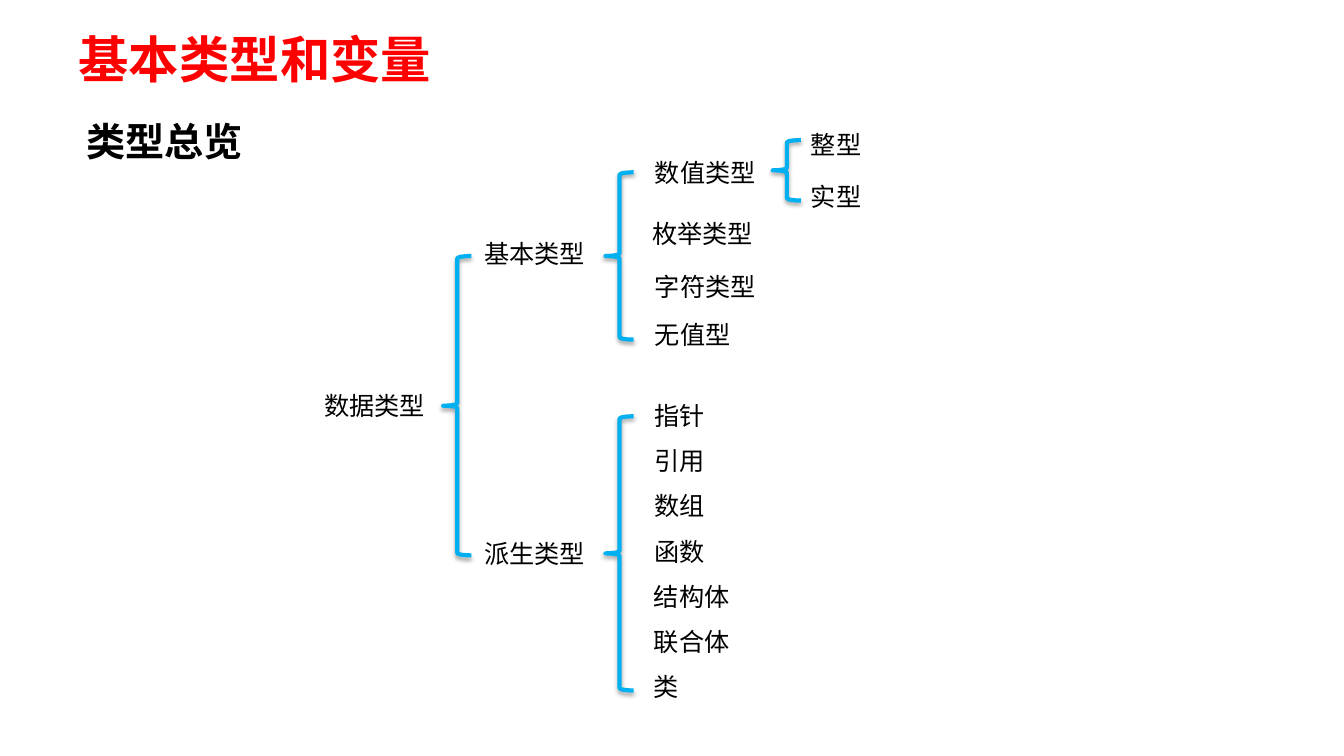
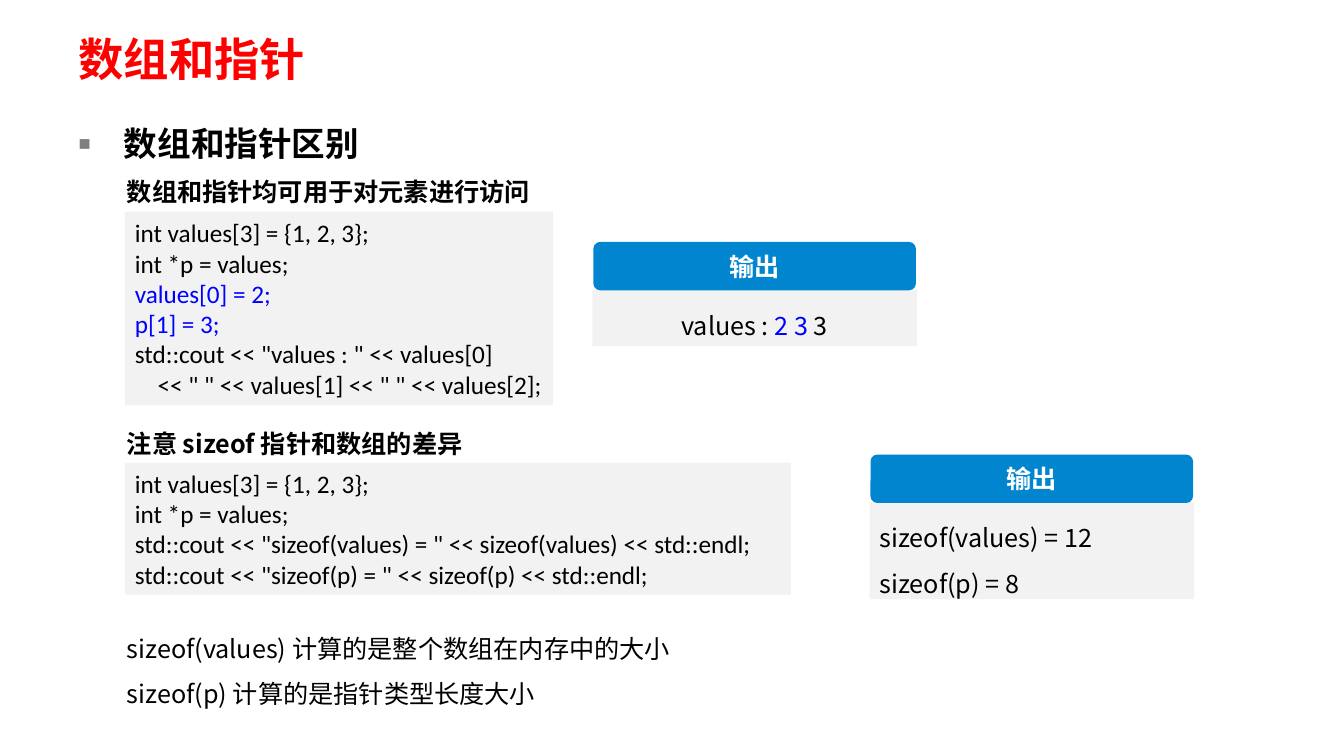
import pptx
import pptx.util
import pptx.dml.color
import pptx.enum.shapes
import pptx.enum.text
import pptx.oxml
import pptx.oxml.ns

Pt = pptx.util.Pt
Kind = pptx.enum.shapes.MSO_SHAPE
Fit = pptx.enum.text.MSO_AUTO_SIZE
Side = pptx.enum.text.PP_ALIGN
Mid = pptx.enum.text.MSO_ANCHOR
tint = pptx.dml.color.RGBColor.from_string

RED, BLACK, WHITE = "FF0000", "000000", "FFFFFF"
BLUE, GREY, SKY, BAND = "0000FF", "F2F2F2", "00B0F0", "0185CF"
SANS, CODE = "Noto Sans CJK SC", "Calibri"

deck = pptx.Presentation()
deck.slide_width = pptx.util.Inches(13.34)
deck.slide_height = pptx.util.Inches(7.5)
col = deck.slide_width / 40
row = deck.slide_height / 30


def place(x, y, w, h):
    return [round(n) for n in (x * col, y * row, w * col, h * row)]


def write(box, lines, size=18, bold=False, face=SANS, side=Side.LEFT,
          gap=1.0, wrap=True, fit=Fit.SHAPE_TO_FIT_TEXT, anchor=Mid.TOP):
    frame = box.text_frame
    frame.word_wrap = wrap
    frame.auto_size = fit
    frame.vertical_anchor = anchor
    for i, line in enumerate(lines):
        para = frame.add_paragraph() if i else frame.paragraphs[0]
        para.alignment = side
        para.line_spacing = gap
        para.space_before = Pt(0)
        for text, hue in line:
            run = para.add_run()
            run.text = text
            run.font.size = Pt(size)
            run.font.bold = bold
            run.font.name = face
            run.font.color.rgb = tint(hue)
            east = pptx.oxml.parse_xml(
                f'<a:ea {pptx.oxml.ns.nsdecls("a")} typeface="{face}"/>')
            run.font._element.append(east)


pages = []
for text, size, form in [("基本类型和变量", 36, 5), ("数组和指针", 32.4, 1)]:
    page = deck.slides.add_slide(deck.slide_layouts[form])
    pages.append(page)
    spots = [(1.12, 2.36), (3.96, 3.16)]
    for box, (top, high) in zip(page.placeholders, spots):
        box.left, box.top, box.width, box.height = place(1.95, top, 36.37, high)
        frame = box.text_frame
        frame.margin_left = frame.margin_right = pptx.util.Inches(0.13)
        frame.margin_top = frame.margin_bottom = pptx.util.Inches(0.07)
    write(page.shapes.title, [[(text, RED)]], size, True,
          fit=Fit.NONE, anchor=Mid.MIDDLE)
tree, code = pages

leaves = ["指针", "引用", "数组", "函数", "结构体", "联合体", "类"]
labels = [
    ("数据类型", 9.36, 15.28),
    ("基本类型", 14.12, 9.28),
    ("派生类型", 14.12, 21.16),
    ("数值类型", 19.2, 6.04),
    ("枚举类型", 19.12, 8.48),
    ("字符类型", 19.2, 10.56),
    ("无值型", 19.2, 12.48),
    ("整型", 23.84, 4.92),
    ("实型", 23.84, 7),
] + [(leaf, 19.17, 15.7 + 1.79 * i) for i, leaf in enumerate(leaves)]
for text, x, y in labels:
    box = tree.shapes.add_textbox(*place(x, y, 0.75 * len(text) + 0.6, 1.6))
    write(box, [[(text, BLACK)]], wrap=False)

for x, y, high in [(23, 5.56, 2.4), (18.02, 6.84, 6.64),
                   (18.02, 16.52, 10.88), (13.19, 10.16, 11.88)]:
    brace = tree.shapes.add_shape(Kind.LEFT_BRACE, *place(x, y, 0.84, high))
    brace.fill.background()
    brace.line.color.rgb = tint(SKY)
    brace.line.width = Pt(3)

box = tree.shapes.add_textbox(*place(2.28, 4.44, 5.31, 2.28))
write(box, [[("类型总览", BLACK)]], 28, True, wrap=False)

body = code.placeholders[1]
write(body, [[("数组和指针区别", BLACK)]], 24, True, gap=1.4, fit=Fit.NONE)
props = body.text_frame.paragraphs[0]._p.get_or_add_pPr()
inset = pptx.util.Inches(0.45)
props.set("marL", str(inset))
props.set("indent", str(-inset))
for part in ['<a:buClr {}><a:srgbClr val="808080"/></a:buClr>',
             '<a:buSzPct {} val="60000"/>',
             '<a:buChar {} char="■"/>']:
    props.append(pptx.oxml.parse_xml(part.format(pptx.oxml.ns.nsdecls("a"))))

for text, y in [("数组和指针均可用于对元素进行访问", 6.08),
                ("注意 sizeof 指针和数组的差异", 16.08)]:
    box = code.shapes.add_textbox(*place(3.48, y, 13.22, 2.08))
    write(box, [[(text, BLACK)]], bold=True, gap=Pt(34.4))

start = [[("int values[3] = {1, 2, 3};", BLACK)],
         [("int *p = values;", BLACK)]]
first = start + [
    [("values[0] = 2;", BLUE)],
    [("p[1] = 3;", BLUE)],
    [('std::cout << "values : " << values[0]', BLACK)],
    [('    << " " << values[1] << " " << values[2];', BLACK)],
]
second = start + [
    [('std::cout << "sizeof(values) = " << sizeof(values) << std::endl;', BLACK)],
    [('std::cout << "sizeof(p) = " << sizeof(p) << std::endl;', BLACK)],
]
shown = [[("values : ", BLACK), ("2 3", BLUE), (" 3", BLACK)]]
sizes = [[("sizeof(values) = 12", BLACK)], [("sizeof(p) = 8", BLACK)]]

mono = dict(face=CODE, anchor=Mid.MIDDLE)
head = dict(bold=True, side=Side.CENTER, fit=Fit.NONE, anchor=Mid.MIDDLE)
title = [[("输出", WHITE)]]
panels = [
    (Kind.RECTANGLE, GREY, (3.72, 8.4, 12.74, 7.68), first, mono),
    (Kind.RECTANGLE, GREY, (3.72, 18.36, 19.82, 5.24), second, mono),
]
for x, y, high, lines, side in [(17.63, 9.6, 2.24, shown, Side.CENTER),
                                (25.88, 18.04, 3.84, sizes, Side.LEFT)]:
    panels += [
        (Kind.RECTANGLE, GREY, (x, y + 1.9, 9.66, high), lines,
         dict(side=side, gap=1.5)),
        (Kind.ROUNDED_RECTANGLE, BAND, (x + 0.03, y, 9.6, 1.92), title, head),
    ]
for kind, hue, spot, lines, style in panels:
    box = code.shapes.add_shape(kind, *place(*spot))
    box.shadow.inherit = False
    box.fill.solid()
    box.fill.fore_color.rgb = tint(hue)
    box.line.fill.background()
    if kind == Kind.ROUNDED_RECTANGLE:
        box.adjustments[0] = 0.14
    write(box, lines, **style)

box = code.shapes.add_textbox(*place(3.48, 24.32, 17.03, 3.84))
write(box, [[("sizeof(values) 计算的是整个数组在内存中的大小", BLACK)],
            [("sizeof(p) 计算的是指针类型长度大小", BLACK)]], gap=1.5, wrap=False)

deck.save("out.pptx")
